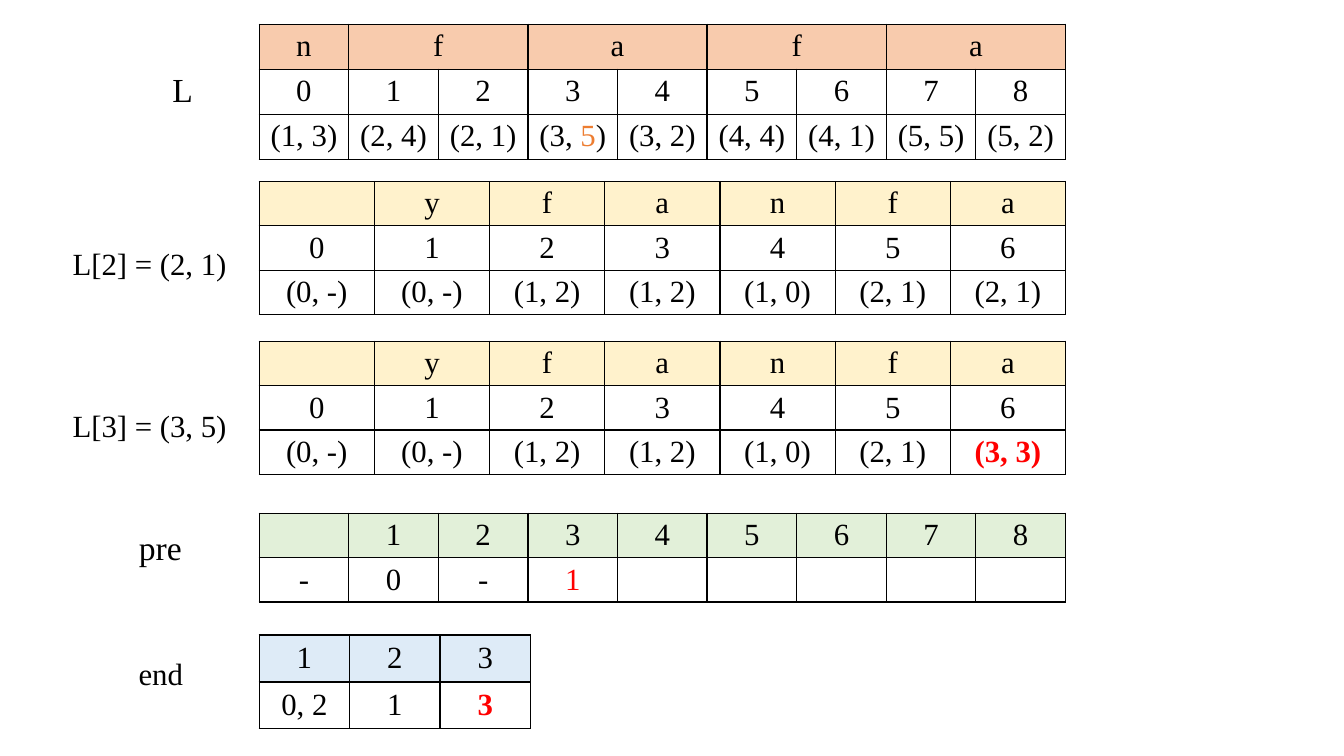
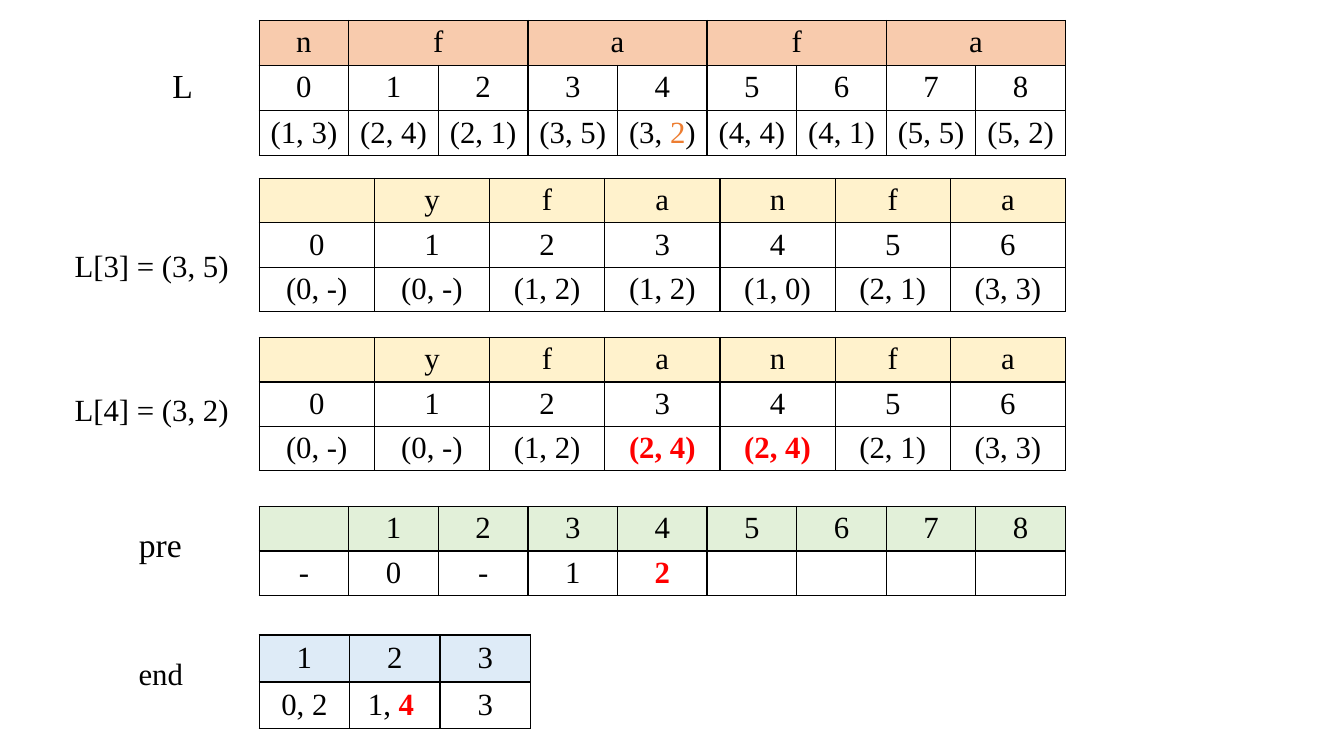
import pptx
import pptx.util
import pptx.dml.color
import pptx.enum.text
import pptx.oxml
import pptx.oxml.ns

RGB = pptx.dml.color.RGBColor
Pt = pptx.util.Pt
ALIGN = pptx.enum.text.PP_ALIGN
ANCHOR = pptx.enum.text.MSO_ANCHOR

BLACK = RGB(0x00, 0x00, 0x00)
RED = RGB(0xFF, 0x00, 0x00)
ORANGE = RGB(0xED, 0x7D, 0x31)
PEACH = RGB(0xF8, 0xCB, 0xAD)
CREAM = RGB(0xFF, 0xF2, 0xCC)
GREEN = RGB(0xE2, 0xF0, 0xD9)
BLUE = RGB(0xDE, 0xEB, 0xF7)

FACE = "Times New Roman"
LEFT = 19.28   # left edge of every table, in grid columns
FULL = 60      # width of a full table
SIDES = ("L", "R", "T", "B")
SPACE = pptx.oxml.ns.nsdecls("a")


class Deck:
    """Style and current slide, measured on a grid of 100 by 100."""

    def __init__(self):
        self.prs = pptx.Presentation()
        self.prs.slide_width = pptx.util.Inches(13.33)
        self.prs.slide_height = pptx.util.Inches(7.5)
        self.slide = None

    def x(self, cols):
        return round(self.prs.slide_width * cols / 100)

    def y(self, rows):
        return round(self.prs.slide_height * rows / 100)

    def box(self, left, top, width, height):
        return self.x(left), self.y(top), self.x(width), self.y(height)

    def font(self, run, size=22, color=BLACK, bold=False):
        run.font.name = FACE
        run.font.size = Pt(size)
        run.font.bold = bold
        run.font.color.rgb = color

    def page(self):
        self.slide = self.prs.slides.add_slide(self.prs.slide_layouts[1])
        title = self.slide.shapes.title.element
        title.getparent().remove(title)

    def steps(self, lines, left, top, gap):
        """Body list without bullets, its lines set apart by gap points."""
        body = self.slide.placeholders[1]
        body.left, body.top, body.width, body.height = self.box(left, top, 14, 30)
        frame = body.text_frame
        frame.text = "\n".join(lines)
        frame.auto_size = pptx.enum.text.MSO_AUTO_SIZE.NONE
        for i, par in enumerate(frame.paragraphs):
            props = par._p.get_or_add_pPr()
            props.set("marL", "0")
            props.set("indent", "0")
            props.append(pptx.oxml.parse_xml(f"<a:buNone {SPACE}/>"))
            par.space_before = Pt(gap if i else 0)
            self.font(par.runs[0])

    def label(self, text, left, top, width, size=24, align=ALIGN.LEFT, wrap=True):
        box = self.slide.shapes.add_textbox(*self.box(left, top, width, 6.5))
        frame = box.text_frame
        frame.word_wrap = wrap
        frame.text = text
        par = frame.paragraphs[0]
        par.alignment = align
        self.font(par.runs[0], size)

    def edge(self, cell):
        props = cell._tc.get_or_add_tcPr()
        for side in SIDES:
            props.append(pptx.oxml.parse_xml(
                f'<a:ln{side} {SPACE} w="12700">'
                f'<a:solidFill><a:srgbClr val="{BLACK}"/></a:solidFill>'
                f'</a:ln{side}>'))

    def put(self, cell, parts):
        """Fill a cell from (text, colour, bold) parts or a plain string."""
        if isinstance(parts, str):
            parts = [(parts, BLACK, False)]
        par = cell.text_frame.paragraphs[0]
        par.alignment = ALIGN.CENTER
        for text, color, bold in parts:
            if text:
                run = par.add_run()
                run.text = text
                self.font(run, 22, color, bold)

    def table(self, rows, top, tall, fill, width=FULL, anchor=ANCHOR.TOP):
        """Table with a filled head row; None joins a cell to its left one."""
        count = len(rows[0])
        area = self.box(LEFT, top, width, tall * len(rows))
        grid = self.slide.shapes.add_table(len(rows), count, *area).table
        grid.first_row = grid.horz_banding = False
        for col in grid.columns:
            col.width = self.x(width / count)
        for r, row in enumerate(rows):
            grid.rows[r].height = self.y(tall)
            for c, parts in enumerate(row):
                cell = grid.cell(r, c)
                self.edge(cell)
                cell.vertical_anchor = anchor
                if r == 0:
                    cell.fill.solid()
                    cell.fill.fore_color.rgb = fill
                else:
                    cell.fill.background()
                if parts is None:
                    grid.cell(r, c - 1).merge(cell)
                else:
                    self.put(cell, parts)


# Values that both slides share
def count(first, last):
    return [str(n) for n in range(first, last + 1)]


def hot(text):
    return [(text, RED, True)]


RUNS = ["n", "f", None, "a", None, "f", None, "a", None]
PAIRS = [(1, 3), (2, 4), (2, 1), (3, 5), (3, 2), (4, 4), (4, 1), (5, 5), (5, 2)]
WORD = ["", *"yfanfa"]
START = ["(0, -)", "(0, -)", "(1, 2)"]
MID = START + ["(1, 2)", "(1, 0)", "(2, 1)"]


def pairs(step):
    """Pair row whose second number is tinted at the current step."""
    row = [f"({a}, {b})" for a, b in PAIRS]
    a, b = PAIRS[step]
    row[step] = [(f"({a}, ", BLACK, False), (str(b), ORANGE, False),
                 (")", BLACK, False)]
    return row


def trace(deck, step, tops, body, before, after, pre, end):
    """One step: the list L, the state before and after, pre and end."""
    deck.page()
    lines = [f"L[{n}] = ({PAIRS[n][0]}, {PAIRS[n][1]})" for n in (step - 1, step)]
    deck.steps(lines, *body)

    # Tables
    deck.table([RUNS, count(0, 8), pairs(step)], tops[0], 5.97, PEACH)
    for top, state in zip(tops[1:], (before, after)):
        deck.table([WORD, count(0, 6), state], top, 5.87, CREAM)
    pre = pre + [""] * (9 - len(pre))
    deck.table([[""] + count(1, 8), pre], tops[3], 5.87, GREEN)
    deck.table([count(1, 3), end], 84, 6.2, BLUE, 20.2, ANCHOR.MIDDLE)

    # Labels
    deck.label("L", 12.08, tops[0] + 5.2, 4.28)
    deck.label("pre", 9.6, tops[0] + 65.9, 4.73, wrap=False)
    deck.label("end", 5.25, 86, 13.43, 22, ALIGN.CENTER)


def main():
    deck = Deck()
    trace(deck, 3, (3.2, 24, 45.15, 67.9), (4.65, 31.7, 89),
          MID + ["(2, 1)"], MID + [hot("(3, 3)")],
          ["-", "0", "-", [("1", RED, False)]],
          ["0, 2", "1", hot("3")])
    trace(deck, 4, (2.7, 23.6, 44.65, 67), (4.8, 32, 76),
          MID + ["(3, 3)"],
          START + [hot("(2, 4)"), hot("(2, 4)"), "(2, 1)", "(3, 3)"],
          ["-", "0", "-", "1", hot("2")],
          ["0, 2", [("1, ", BLACK, False), ("4 ", RED, True)], "3"])
    deck.prs.save("out.pptx")


if __name__ == "__main__":
    main()
